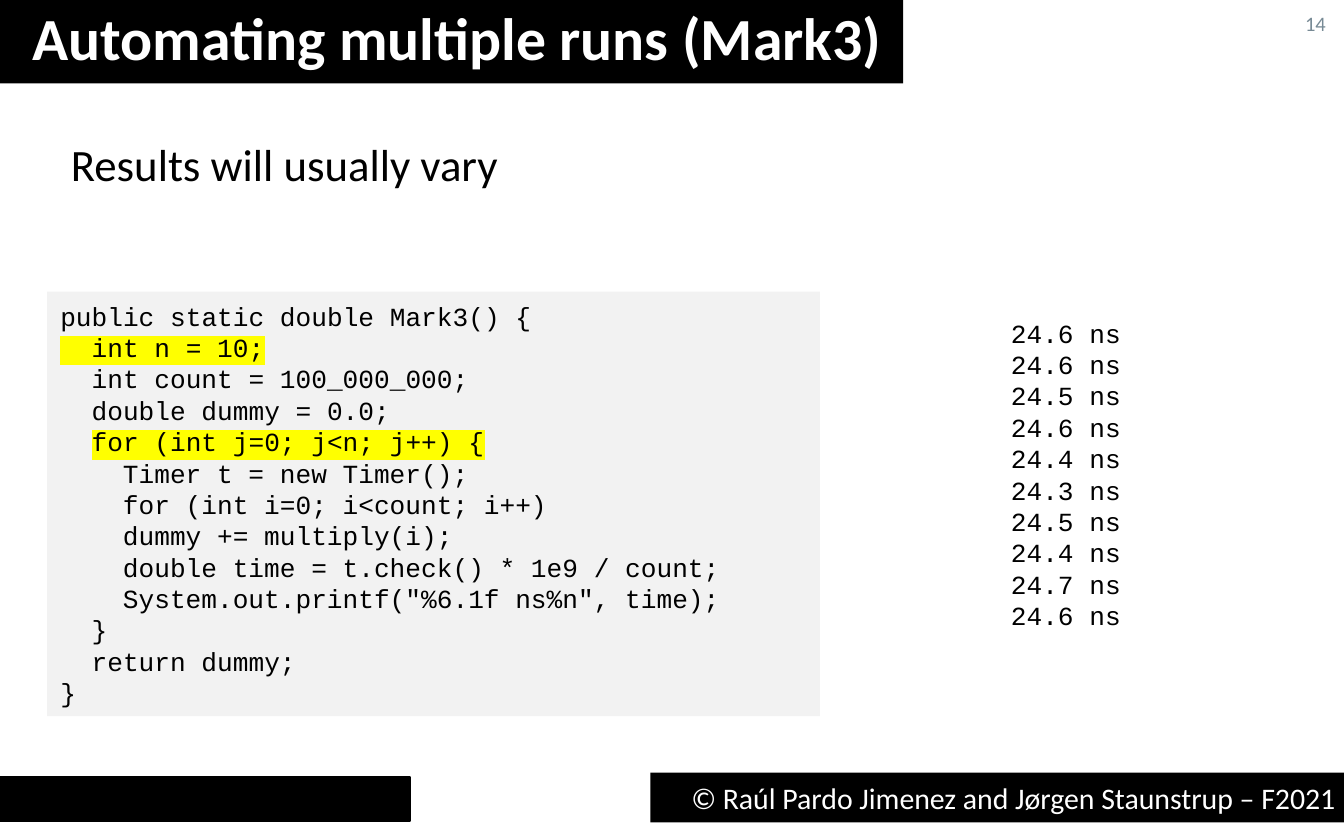
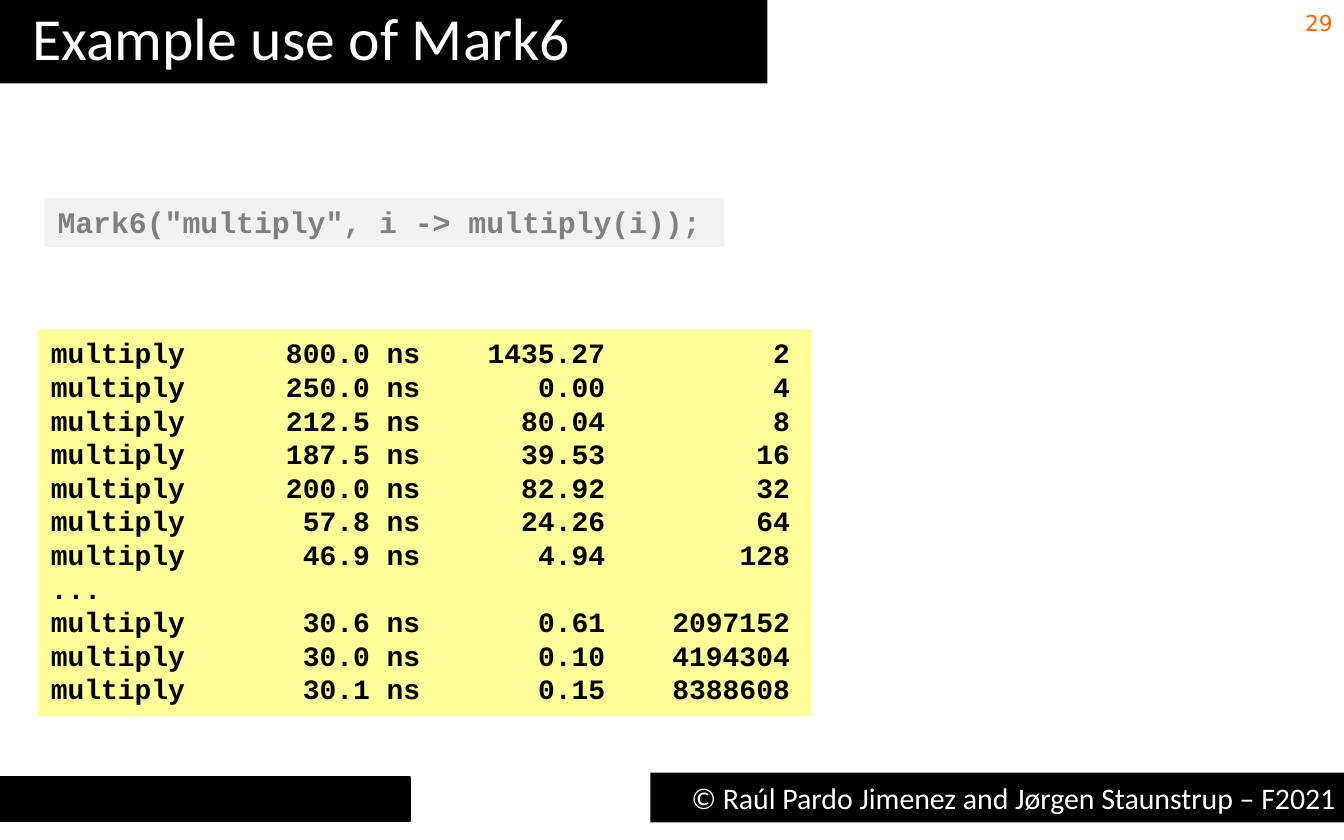
from lxml.etree import SubElement
from pptx import Presentation
from pptx.dml.color import RGBColor as Rgb
from pptx.enum.shapes import MSO_SHAPE as Kind
from pptx.enum.text import MSO_ANCHOR as Anchor, PP_ALIGN as Align
from pptx.oxml.ns import qn
from pptx.util import Inches, Pt

WIDE, HIGH = 10, 6.25
HEX = dict(black="000000", white="FFFFFF", pale="F2F2F2", gray="808080",
           cream="FFFF99", slate="778A95", orange="FF6600", mark="FFFF00")
SANS, MONO = "Calibri", "Courier New"
CHAR = 0.6  # width of one monospaced letter, as a share of its size

FOOT = "© Raúl Pardo Jimenez and Jørgen Staunstrup – F2021"

# Each line of code: indent in letters, text, and whether it is marked
CODE = [
    (0, "public static double Mark3() {", False),
    (0, "  int n = 10;", True),
    (2, "int count = 100_000_000;", False),
    (2, "double dummy = 0.0;", False),
    (2, "for (int j=0; j<n; j++) {", True),
    (4, "Timer t = new Timer();", False),
    (4, "for (int i=0; i<count; i++)", False),
    (4, "dummy += multiply(i);", False),
    (4, "double time = t.check() * 1e9 / count;", False),
    (4, 'System.out.printf("%6.1f ns%n", time);', False),
    (2, "}", False),
    (2, "return dummy;", False),
    (0, "}", False),
]
TIMES = [24.6, 24.6, 24.5, 24.6, 24.4, 24.3, 24.5, 24.4, 24.7, 24.6]
CALL = 'Mark6("multiply", i -> multiply(i));'
RUNS = [
    ("800.0", "1435.27", 2), ("250.0", "0.00", 4), ("212.5", "80.04", 8),
    ("187.5", "39.53", 16), ("200.0", "82.92", 32), ("57.8", "24.26", 64),
    ("46.9", "4.94", 128), None, ("30.6", "0.61", 2097152),
    ("30.0", "0.10", 4194304), ("30.1", "0.15", 8388608),
]
STOPS = (22, 33, 44)  # right edges of the number columns, in letters

# Places as left, top, width, height in percent of the slide
BAND = (0, 92.48, 30.5, 5.28)
NOTE = (48.4, 92, 52, 5.92)
PAGE = (97.1, 0.8, 2.5, 3.84)


def box(slide, place, fill=None, inset=(0.1, 0.05, 0.1, 0.05), mid=False):
    """Add a rectangle, or a bare text box when there is no fill."""
    size = [Inches(part * side / 100)
            for part, side in zip(place, (WIDE, HIGH, WIDE, HIGH))]
    if fill:
        shape = slide.shapes.add_shape(Kind.RECTANGLE, *size)
        shape.shadow.inherit = False
        shape.fill.solid()
        shape.fill.fore_color.rgb = Rgb.from_string(HEX[fill])
        shape.line.fill.background()
    else:
        shape = slide.shapes.add_textbox(*size)
    frame = shape.text_frame
    frame.word_wrap = True
    frame.vertical_anchor = Anchor.MIDDLE if mid else Anchor.TOP
    (frame.margin_left, frame.margin_top,
     frame.margin_right, frame.margin_bottom) = map(Inches, inset)
    return shape


def write(shape, lines, size, face=SANS, ink="black", bold=False,
          align=Align.LEFT):
    """Fill a shape with one paragraph per line and style the runs."""
    frame = shape.text_frame
    frame.text = "\n".join(lines)
    for para in frame.paragraphs:
        para.alignment = align
        for run in para.runs:
            font = run.font
            font.name, font.size, font.bold = face, Pt(size), bold
            font.color.rgb = Rgb.from_string(HEX[ink])
    return frame.paragraphs


def indent(para, count, size):
    """Indent a paragraph by a number of monospaced letters."""
    props = para._p.get_or_add_pPr()
    props.set("marL", str(Pt(count * CHAR * size)))
    props.set("indent", "0")


def mark(para):
    """Put the marker colour behind a paragraph's text."""
    for run in para.runs:
        props = run._r.get_or_add_rPr()
        light = SubElement(props, qn("a:highlight"))
        SubElement(light, qn("a:srgbClr"), val=HEX["mark"])
        props.find(qn("a:latin")).addprevious(light)


def tabs(para, stops, size):
    """Set right-aligned tab stops, counted in letters."""
    row = SubElement(para._p.get_or_add_pPr(), qn("a:tabLst"))
    for stop in stops:
        SubElement(row, qn("a:tab"), pos=str(Pt(stop * CHAR * size)),
                   algn="r")


def start(deck, title, width, bold, page, **look):
    """Add a slide with its bands, footer, title and number."""
    slide = deck.slides.add_slide(deck.slide_layouts[6])
    band = box(slide, BAND, "black")
    band.line.color.rgb = Rgb.from_string(HEX["black"])
    band.line.width = Pt(1)
    write(box(slide, NOTE, "black"), [FOOT], 16, ink="white",
          align=Align.RIGHT)
    head = box(slide, (0, 0, width, 9.92), "black",
               (0.24, 0, 0.1, 0.08), True)
    write(head, [title], 32, ink="white", bold=bold)
    write(box(slide, PAGE, None, (0, 0, 0, 0), True), [page], **look)
    return slide


def vary(deck):
    """Build the slide with the code and its varying results."""
    slide = start(deck, "Automating multiple runs (Mark3)", 67.2, True,
                  "14", size=11, ink="slate")
    size = 14
    side = box(slide, (71.9, 36.96, 24.6, 39.36))
    for para in write(side, [f"{time} ns" for time in TIMES], size, MONO):
        indent(para, 2, size)
    pane = box(slide, (3.5, 34.72, 57.5, 50.56), "pale", mid=True)
    paras = write(pane, [text for _, text, _ in CODE], size, MONO)
    for para, (count, _, lit) in zip(paras, CODE):
        indent(para, count, size)
        if lit:
            mark(para)
    write(box(slide, (4.3, 15.52, 41.7, 8)),
          ["Results will usually vary"], 24)


def usage(deck):
    """Build the slide with the call and its printed table."""
    slide = start(deck, "Example use of Mark6", 57.1, False,
                  "29", size=11.7, face="DejaVu Sans", ink="orange")
    write(box(slide, (3.3, 23.52, 50.6, 5.92), "pale"), [CALL], 16, MONO,
          "gray", True)
    size = 15
    lines = [f"multiply\t{row[0]} ns\t{row[1]}\t{row[2]}" if row else "..."
             for row in RUNS]
    pane = box(slide, (2.8, 39.2, 57.6, 46.08), "cream")
    for para in write(pane, lines, size, MONO, bold=True):
        tabs(para, STOPS, size)


deck = Presentation()
deck.slide_width, deck.slide_height = Inches(WIDE), Inches(HIGH)
vary(deck)
usage(deck)
deck.save("out.pptx")
